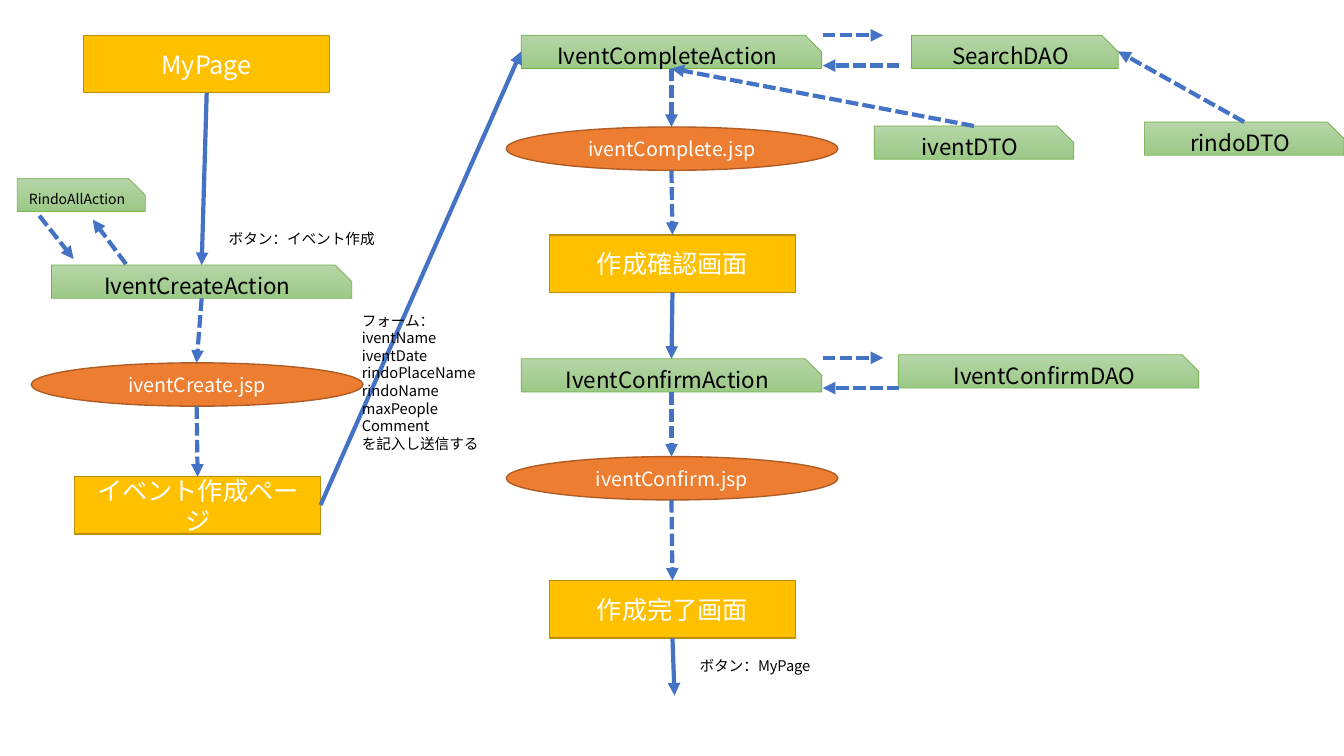
import pptx
import pptx.dml.color
import pptx.enum.dml
import pptx.enum.shapes
import pptx.enum.text
import pptx.oxml.ns
import pptx.util
from lxml import etree

RGBColor = pptx.dml.color.RGBColor
SHAPE = pptx.enum.shapes.MSO_SHAPE

# Content: lengths in px, 100 px to the inch
PX = 9144
SLIDE_SIZE = (1333, 750)
FONT = "Noto Sans CJK JP"
WHITE = RGBColor(0xFF, 0xFF, 0xFF)
BLACK = RGBColor(0x00, 0x00, 0x00)
YELLOW = RGBColor(0xFF, 0xC0, 0x00)
YELLOW_EDGE = RGBColor(0xBD, 0x8E, 0x00)
ORANGE = RGBColor(0xED, 0x7D, 0x31)
ORANGE_EDGE = RGBColor(0xAF, 0x5C, 0x24)
GREEN_TOP = RGBColor(0xB5, 0xD5, 0xA7)
GREEN_BOTTOM = RGBColor(0x9C, 0xC9, 0x87)
GREEN_EDGE = RGBColor(0x70, 0xAD, 0x47)
BLUE = RGBColor(0x44, 0x72, 0xC4)

# kind: preset, height, fill colours, edge, edge pt, text colour, text pt
KINDS = {
    "screen": (SHAPE.RECTANGLE, 57, [YELLOW], YELLOW_EDGE, 1, WHITE, 18),
    "jsp": (SHAPE.OVAL, 43, [ORANGE], ORANGE_EDGE, 1, WHITE, 14),
    "class": (SHAPE.SNIP_1_RECTANGLE, 33, [GREEN_TOP, GREEN_BOTTOM],
              GREEN_EDGE, 0.5, BLACK, 16),
}

# label: kind, left, top, width
NODES = {
    "MyPage": ("screen", 83, 35, 244),
    "イベント作成ページ": ("screen", 74, 473, 244),
    "作成確認画面": ("screen", 545, 233, 244),
    "作成完了画面": ("screen", 545, 576, 244),
    "IventCreateAction": ("class", 51, 263, 298),
    "iventCreate.jsp": ("jsp", 31, 360, 329),
    "IventCompleteAction": ("class", 517, 35, 298),
    "iventComplete.jsp": ("jsp", 502, 126, 329),
    "IventConfirmAction": ("class", 517, 356, 298),
    "iventConfirm.jsp": ("jsp", 502, 453, 329),
    "IventConfirmDAO": ("class", 891, 352, 298),
    "SearchDAO": ("class", 904, 35, 205),
    "rindoDTO": ("class", 1135, 121, 198),
    "iventDTO": ("class", 867, 125, 198),
    "RindoAllAction": ("class", 17, 177, 127),
}
SMALL_LABELS = {"RindoAllAction": 10}

# from node, side, to node, side, dashed
LINKS = [
    ("MyPage", "bottom", "IventCreateAction", "top", False),
    ("IventCreateAction", "bottom", "iventCreate.jsp", "top", True),
    ("iventCreate.jsp", "bottom", "イベント作成ページ", "top", True),
    ("イベント作成ページ", "right", "IventCompleteAction", "left", False),
    ("IventCompleteAction", "bottom", "iventComplete.jsp", "top", True),
    ("iventComplete.jsp", "bottom", "作成確認画面", "top", True),
    ("作成確認画面", "bottom", "IventConfirmAction", "top", False),
    ("IventConfirmAction", "bottom", "iventConfirm.jsp", "top", True),
    ("iventConfirm.jsp", "bottom", "作成完了画面", "top", True),
    ("rindoDTO", "top", "SearchDAO", "right", True),
    ("iventDTO", "top", "IventCompleteAction", "bottom", True),
]

# Free arrows: start, end, dashed
ARROWS = [
    ((667, 633), (669, 690), False),
    ((39, 214), (73, 257), True),
    ((125, 262), (92, 218), True),
]
DAO_CALL_TOPS = [35, 355]

# left, top, width, height, lines
NOTES = [
    (217, 223, 183, 28, ["ボタン：イベント作成"]),
    (349, 304, 183, 169, ["フォーム：", "iventName", "iventDate",
                          "rindoPlaceName", "rindoName", "maxPeople",
                          "Comment", "を記入し送信する"]),
    (684, 647, 183, 28, ["ボタン：MyPage"]),
]


def emu(*lengths):
    return [pptx.util.Emu(length * PX) for length in lengths]


def style_text(frame, size, color, align):
    for para in frame.paragraphs:
        para.alignment = align
        for span in para.runs:
            span.font.size = pptx.util.Pt(size)
            span.font.name = FONT
            span.font.color.rgb = color
            east_asian = etree.SubElement(
                span.font._element, pptx.oxml.ns.qn("a:ea"))
            east_asian.set("typeface", FONT)


def side_point(label, side):
    kind, left, top, width = NODES[label]
    height = KINDS[kind][1]
    return {
        "top": (left + width // 2, top),
        "bottom": (left + width // 2, top + height),
        "left": (left, top + height // 2),
        "right": (left + width, top + height // 2),
    }[side]


def add_node(page, label):
    kind, left, top, width = NODES[label]
    preset, height, fills, edge, edge_width, color, size = KINDS[kind]
    box = page.shapes.add_shape(preset, *emu(left, top, width, height))
    box.shadow.inherit = False
    if preset == SHAPE.SNIP_1_RECTANGLE:
        box.adjustments[0] = 0.5
    if len(fills) == 1:
        box.fill.solid()
        box.fill.fore_color.rgb = fills[0]
    else:
        box.fill.gradient()
        box.fill.gradient_angle = 270
        for stop, shade in zip(box.fill.gradient_stops, fills):
            stop.color.rgb = shade
    box.line.color.rgb = edge
    box.line.width = pptx.util.Pt(edge_width)
    frame = box.text_frame
    frame.text = label
    frame.word_wrap = True
    frame.vertical_anchor = pptx.enum.text.MSO_ANCHOR.MIDDLE
    style_text(frame, SMALL_LABELS.get(label, size), color,
               pptx.enum.text.PP_ALIGN.CENTER)


def add_arrow(page, start, end, dashed):
    arrow = page.shapes.add_connector(
        pptx.enum.shapes.MSO_CONNECTOR.STRAIGHT, *emu(*start, *end))
    arrow.line.color.rgb = BLUE
    arrow.line.width = pptx.util.Pt(3)
    if dashed:
        # SQUARE_DOT is written as sysDash's sibling, so the value is set here
        arrow.line.dash_style = pptx.enum.dml.MSO_LINE.DASH
        dash = arrow.line._ln.find(pptx.oxml.ns.qn("a:prstDash"))
        dash.set("val", "sysDash")
    head = etree.SubElement(arrow.line._ln, pptx.oxml.ns.qn("a:tailEnd"))
    head.set("type", "triangle")
    etree.SubElement(arrow._element.spPr, pptx.oxml.ns.qn("a:effectLst"))


def add_note(page, left, top, width, height, lines):
    box = page.shapes.add_textbox(*emu(left, top, width, height))
    frame = box.text_frame
    frame.text = "\n".join(lines)
    frame.word_wrap = True
    frame.auto_size = pptx.enum.text.MSO_AUTO_SIZE.SHAPE_TO_FIT_TEXT
    style_text(frame, 10.5, BLACK, pptx.enum.text.PP_ALIGN.LEFT)


def main():
    deck = pptx.Presentation()
    deck.slide_width, deck.slide_height = emu(*SLIDE_SIZE)
    page = deck.slides.add_slide(deck.slide_layouts[6])

    # Boxes
    for label in NODES:
        add_node(page, label)

    # Arrows between boxes
    for source, source_side, target, target_side, dashed in LINKS:
        add_arrow(page, side_point(source, source_side),
                  side_point(target, target_side), dashed)
    for start, end, dashed in ARROWS:
        add_arrow(page, start, end, dashed)

    # Call and return arrows beside each DAO
    for top in DAO_CALL_TOPS:
        add_arrow(page, (816, top), (876, top), True)
        add_arrow(page, (892, top + 30), (816, top + 30), True)

    # Notes
    for note in NOTES:
        add_note(page, *note)

    deck.save("out.pptx")


if __name__ == "__main__":
    main()
